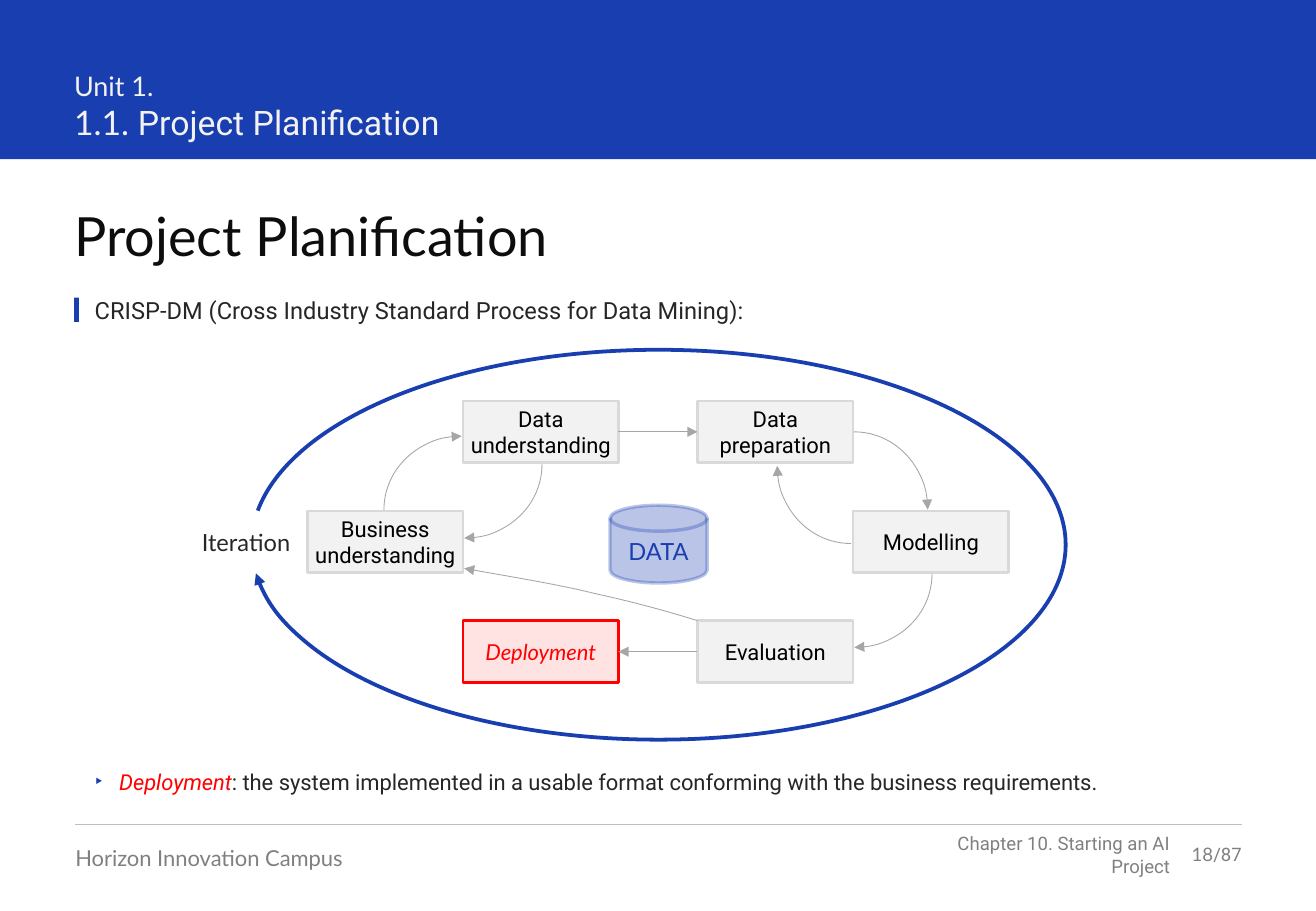
import pptx
import pptx.util
import pptx.dml.color
import pptx.enum.shapes
import pptx.enum.text
import pptx.oxml
import pptx.oxml.ns

Inches, Pt = pptx.util.Inches, pptx.util.Pt
SHAPE = pptx.enum.shapes.MSO_SHAPE
ALIGN = pptx.enum.text.PP_ALIGN
ANCHOR = pptx.enum.text.MSO_ANCHOR
COLORS = {"blue": "193EB0", "title": "0D0D0D", "text": "262626", "black": "000000",
          "light": "F2F2F2", "edge": "D9D9D9", "arrow": "A6A6A6", "rule": "BFBFBF",
          "footer": "808080", "red": "FF0000"}
WIDTH, HEIGHT = 10.83, 7.5
MARGIN, RIGHT = 0.61, 10.22


def rgb(name):
    return pptx.dml.color.RGBColor.from_string(COLORS[name])


def add_element(parent, tag, **attributes):
    element = pptx.oxml.parse_xml(f"<a:{tag} {pptx.oxml.ns.nsdecls('a')}/>")
    for key, value in attributes.items():
        element.set(key, str(value))
    parent.append(element)
    return element


def set_alpha(properties, percent):
    for color in properties.iter(pptx.oxml.ns.qn("a:srgbClr")):
        add_element(color, "alpha", val=percent * 1000)


def style_span(span, size, color, font="Roboto", italic=False):
    span.font.size, span.font.name, span.font.italic = Pt(size), font, italic
    span.font.color.rgb = rgb(color)


def write(frame, text, size, color, font="Roboto", italic=False, align=ALIGN.LEFT,
          anchor=ANCHOR.TOP, insets=(0, 0, 0, 0)):
    frame.word_wrap, frame.auto_size = True, pptx.enum.text.MSO_AUTO_SIZE.NONE
    frame.vertical_anchor = anchor
    frame.margin_left, frame.margin_top, frame.margin_right, frame.margin_bottom = map(Inches, insets)
    frame.text = text
    for para in frame.paragraphs:
        para.alignment, para.space_before = align, Pt(0)
        for span in para.runs:
            style_span(span, size, color, font, italic)
    return frame


def add_text(page, box, *words, **style):
    return write(page.shapes.add_textbox(*map(Inches, box)).text_frame, *words, **style)


def move(shape, box):
    shape.left, shape.top, shape.width, shape.height = map(Inches, box)


def style_line(shape, color, weight, arrow=None):
    shape.line.color.rgb, shape.line.width = rgb(color), Pt(weight)
    if arrow:
        add_element(shape.line._get_or_add_ln(), arrow, type="triangle")


def add_shape(page, kind, box, fill=None, edge=None, weight=1.5, arrow=None):
    shape = page.shapes.add_shape(kind, *map(Inches, box))
    shape.shadow.inherit = False
    if fill:
        shape.fill.solid()
        shape.fill.fore_color.rgb = rgb(fill)
    else:
        shape.fill.background()
    if edge:
        style_line(shape, edge, weight, arrow)
    else:
        shape.line.fill.background()
    return shape


def add_line(page, start, end, color, arrow=None):
    line = page.shapes.add_connector(pptx.enum.shapes.MSO_CONNECTOR.STRAIGHT,
                                     *map(Inches, (*start, *end)))
    style_line(line, color, 0.5, arrow)
    add_element(line._element.spPr, "effectLst")


def add_arc(page, box, angles, weight, color, arrow, rotation=0, flip=False):
    arc = add_shape(page, SHAPE.ARC, box, None, color, weight, arrow)
    arc.adjustments[0], arc.adjustments[1] = angles
    arc.rotation = rotation
    if flip:
        arc._element.spPr.find(pptx.oxml.ns.qn("a:xfrm")).set("flipH", "1")


def bezier(points, steps=6):
    for step in range(1, steps + 1):
        t = step / steps
        weights = ((1 - t) ** 3, 3 * t * (1 - t) ** 2, 3 * t * t * (1 - t), t ** 3)
        yield tuple(sum(w * p[axis] for w, p in zip(weights, points)) for axis in (0, 1))


def build_header(page, box):
    left, top, width, height = box
    add_shape(page, SHAPE.RECTANGLE, box, "blue")
    frame = add_text(page, (left + MARGIN, top + 0.57, 6.37, 0.61),
                     "Unit 1.\n1.1. ", 16, "light", font="Lato")
    heading = frame.paragraphs[1]
    heading.runs[0].font.size = Pt(20)
    span = heading.add_run()
    span.text = "Project Planification"
    style_span(span, 20, "light")


def build_footer(page, box):
    left, top, width, height = box
    add_line(page, (left, top), (left + width, top), "rule")
    add_text(page, (left, top + 0.16, 3.16, 0.22), "Horizon Innovation Campus", 13, "footer", font="Lato")
    right = {"align": ALIGN.RIGHT, "anchor": ANCHOR.MIDDLE}
    add_text(page, (left + width - 2.85, top + 0.15, 2.26, 0.19),
             "Chapter 10. Starting an AI Project", 11, "footer", **right)
    number = add_text(page, (left + width - 0.59, top + 0.15, 0.59, 0.19),
                      "18", 11, "footer", font="Lato", **right)
    span = number.paragraphs[0].add_run()
    span.text = "/87"
    style_span(span, 11, "footer")


def build_body(page, box):
    left, top, width, height = box
    title, note = page.placeholders[0], page.placeholders[1]
    move(title, (left, top, width, 0.54))
    write(title.text_frame, "Project Planification", 32, "title", font="Lato")

    # Topic line with its marker
    add_shape(page, SHAPE.RECTANGLE, (left, top + 0.78, 0.04, 0.2), "blue")
    add_text(page, (left + 0.17, top + 0.77, width - 0.17, 0.24),
             "CRISP-DM (Cross Industry Standard Process for Data Mining):", 14, "text")

    # Closing bullet
    move(note, (left + 0.17, top + 4.58, width - 0.17, 0.38))
    write(note.text_frame, "Deployment", 13, "red", italic=True, insets=(0, 0.08, 0.16, 0.08))
    para = note.text_frame.paragraphs[0]
    properties = para._p.get_or_add_pPr()
    properties.set("marL", str(Inches(0.2)))
    properties.set("indent", str(Inches(-0.2)))
    add_element(add_element(properties, "buClr"), "srgbClr", val=COLORS["blue"])
    add_element(properties, "buChar", char="‣")
    span = para.add_run()
    span.text = ": the system implemented in a usable format conforming with the business requirements."
    style_span(span, 13, "text")


def build_cycle(page, box):
    left, top, width, height = box
    node_width, node_height, gap, row_pitch = 1.28, 0.51, 0.65, 0.905
    columns = [left + 0.46 + n * node_width + (gap if n > 1 else 0) for n in range(4)]
    rows = [top + 0.42 + n * row_pitch for n in range(3)]

    # Iteration loop
    add_arc(page, box, (110.917, 105.564), 2.25, "blue", "tailEnd")
    add_text(page, (left - 0.43, top + 1.47, 0.77, 0.24), "Iteration", 14, "text",
             font="Lato", align=ALIGN.CENTER)

    # Steps: label, column, row
    centred = {"align": ALIGN.CENTER, "anchor": ANCHOR.MIDDLE}
    for label, column, row in (("Business understanding", 0, 1), ("Data understanding", 1, 0),
                               ("Data preparation", 2, 0), ("Modelling", 3, 1),
                               ("Evaluation", 2, 2), ("Deployment", 1, 2)):
        final = label == "Deployment"
        node = add_shape(page, SHAPE.RECTANGLE, (columns[column], rows[row], node_width, node_height),
                         "red" if final else "light", "red" if final else "edge")
        if final:
            set_alpha(node.fill._xPr.find(pptx.oxml.ns.qn("a:solidFill")), 11)
        write(node.text_frame, label, 13, "red" if final else "black",
              font="Lato" if final else "Roboto", italic=final, **centred)

    # Quarter-turn arrows: offset from the box, rotation
    for across, down, rotation in ((1.09, 0.71, 0), (4.32, 0.71, 90), (4.32, 1.24, 180),
                                   (1.11, 0.34, 180), (4.29, 0.35, 270)):
        add_arc(page, (left + across, top + down, node_width, 1.21), (162, 0.172), 0.5,
                "arrow", "headEnd", rotation, flip=True)

    # Straight arrows across the middle gap
    near, far = columns[1] + node_width, columns[2]
    middle = node_height / 2
    add_line(page, (near, rows[0] + middle), (far, rows[0] + middle), "arrow", "tailEnd")
    add_line(page, (far, rows[2] + middle), (near, rows[2] + middle), "arrow", "tailEnd")

    # Curve from evaluation back to business understanding
    bends = [(0, 0), (-0.26, -0.08), (-0.51, -0.15), (-0.83, -0.22),
             (-1.15, -0.3), (-1.53, -0.36), (-1.92, -0.43)]
    points = [*bezier(bends[:4]), *bezier(bends[3:])]
    builder = page.shapes.build_freeform(Inches(far), Inches(rows[2]))
    builder.add_line_segments([(Inches(far + x), Inches(rows[2] + y)) for x, y in points], close=False)
    curve = builder.convert_to_shape()
    curve.shadow.inherit = False
    curve.fill.background()
    style_line(curve, "arrow", 0.5, "tailEnd")

    # Data store
    store = add_shape(page, SHAPE.FLOWCHART_MAGNETIC_DISK,
                      (left + width / 2 - 0.4, top + 1.28, 0.8, 0.64), "blue", "blue", 2)
    set_alpha(store._element.spPr, 30)
    write(store.text_frame, "DATA", 14, "blue", font="Lato", insets=(0.1, 0.05, 0.1, 0.05), **centred)


def main():
    deck = pptx.Presentation()
    deck.slide_width, deck.slide_height = Inches(WIDTH), Inches(HEIGHT)
    page = deck.slides.add_slide(deck.slide_layouts[1])
    build_header(page, (0, 0, WIDTH, 1.31))
    build_footer(page, (0.62, 6.79, RIGHT - 0.62, 0.71))
    build_body(page, (MARGIN, 1.67, RIGHT - MARGIN, 4.96))
    build_cycle(page, (2.07, 2.88, 6.7, 3.21))
    deck.save("out.pptx")


if __name__ == "__main__":
    main()
